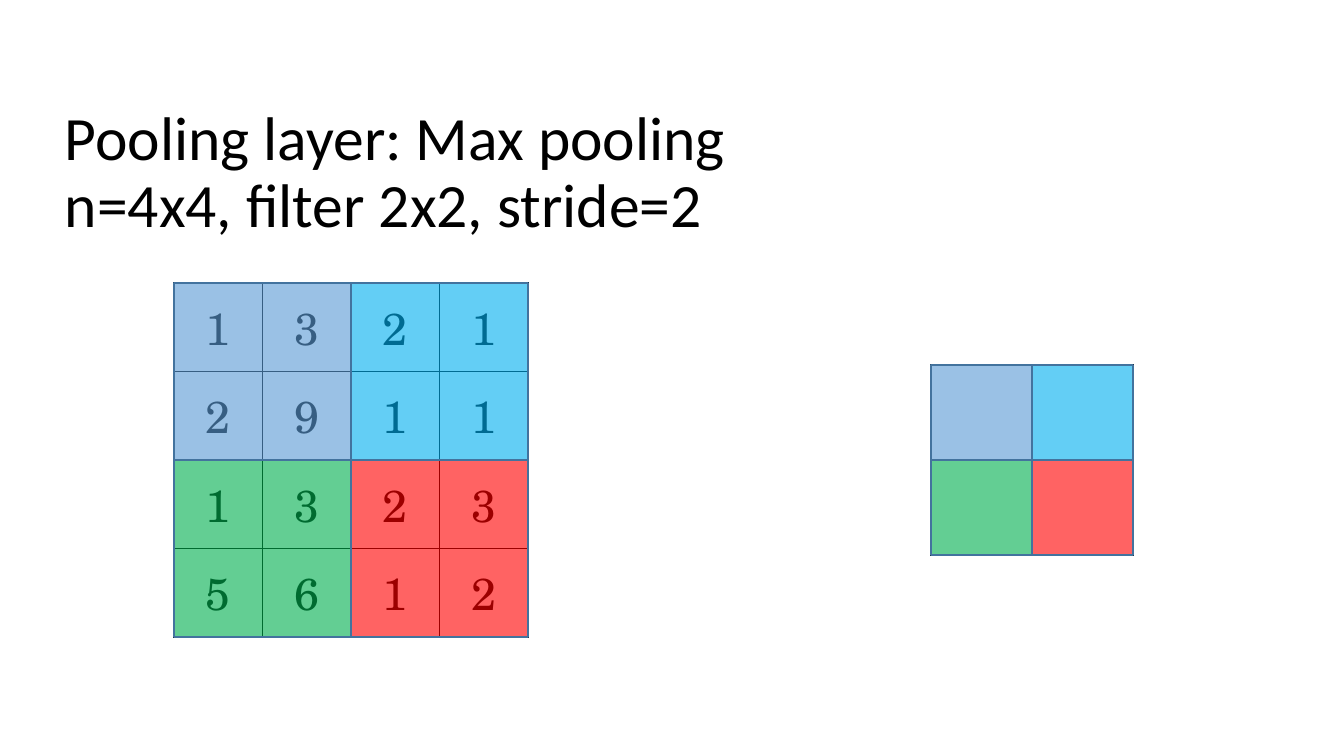
from lxml import etree
from pptx import Presentation
from pptx.dml.color import RGBColor
from pptx.enum import shapes, text
from pptx.oxml import ns
from pptx.util import Pt

TITLE = "Pooling layer: Max pooling\nn=4x4, filter 2x2, stride=2"
TITLE_BOX = (55, 101, 1159, 146)
INPUT = [[1, 3, 2, 1],
         [2, 9, 1, 1],
         [1, 3, 2, 3],
         [5, 6, 1, 2]]
POOLED = [["", ""],
          ["", ""]]
# values, left, top, region width, region height
GRIDS = [(INPUT, 174, 283, 177, 177),
         (POOLED, 931, 365, 101, 95)]
REGIONS = [["blue", "cyan"],
           ["green", "red"]]
COLORS = {"text": "000000", "grid": "000000", "outline": "43739E",
          "blue": "5B9BD5", "cyan": "00B0F0", "green": "00B050", "red": "FF0000"}
REGION_ALPHA = 61
TITLE_FONT = {"name": "Calibri", "size": Pt(44)}
NUMBER_FONT = {"name": "TeX Gyre Schola", "size": Pt(32)}
SCALE = 914400 / 100.8


def px(*lengths):
    """Turn px lengths into a list of EMU."""
    return [round(n * SCALE) for n in lengths]


def rgb(name):
    return RGBColor.from_string(COLORS[name])


def style(p, font):
    for r in p.runs:
        for key, value in font.items():
            setattr(r.font, key, value)
        r.font.color.rgb = rgb("text")


def add_borders(cell):
    tc_pr = cell._tc.get_or_add_tcPr()
    for side in ("a:lnL", "a:lnR", "a:lnT", "a:lnB"):
        ln = etree.SubElement(tc_pr, ns.qn(side), w=str(Pt(1)))
        fill = etree.SubElement(ln, ns.qn("a:solidFill"))
        etree.SubElement(fill, ns.qn("a:srgbClr"), val=COLORS["grid"])


def add_grid(s, values, left, top, region_w, region_h):
    n = len(values)
    table = s.shapes.add_table(n, n, *px(left, top, 2 * region_w, 2 * region_h)).table
    table.first_row = table.horz_banding = False
    for col in table.columns:
        col.width, = px(2 * region_w / n)
    for i, row in enumerate(values):
        for j, value in enumerate(row):
            cell = table.cell(i, j)
            add_borders(cell)
            cell.fill.background()
            cell.vertical_anchor = text.MSO_ANCHOR.MIDDLE
            p = cell.text_frame.paragraphs[0]
            p.text = str(value)
            p.alignment = text.PP_ALIGN.CENTER
            style(p, NUMBER_FONT)


def add_regions(s, left, top, w, h):
    group = s.shapes.add_group_shape()
    for i, row in enumerate(REGIONS):
        for j, color in enumerate(row):
            rect = group.shapes.add_shape(shapes.MSO_SHAPE.RECTANGLE,
                                          *px(left + j * w, top + i * h, w, h))
            rect.shadow.inherit = False
            rect.fill.solid()
            rect.fill.fore_color.rgb = rgb(color)
            clr = rect._element.spPr.find(".//" + ns.qn("a:srgbClr"))
            etree.SubElement(clr, ns.qn("a:alpha"), val=str(REGION_ALPHA * 1000))
            rect.line.color.rgb = rgb("outline")
            rect.line.width = Pt(1)


def add_title(s):
    tf = s.shapes.add_textbox(*px(*TITLE_BOX)).text_frame
    tf.word_wrap = True
    tf.vertical_anchor = text.MSO_ANCHOR.MIDDLE
    p = tf.paragraphs[0]
    p.text = TITLE.replace("\n", "\v")
    p.line_spacing = 0.9
    style(p, TITLE_FONT)


def main():
    prs = Presentation()
    prs.slide_width, prs.slide_height = px(1344, 756)
    s = prs.slides.add_slide(prs.slide_layouts[6])
    add_title(s)
    for grid in GRIDS:
        add_grid(s, *grid)
    for _, *box in GRIDS:
        add_regions(s, *box)
    prs.save("out.pptx")


if __name__ == "__main__":
    main()
